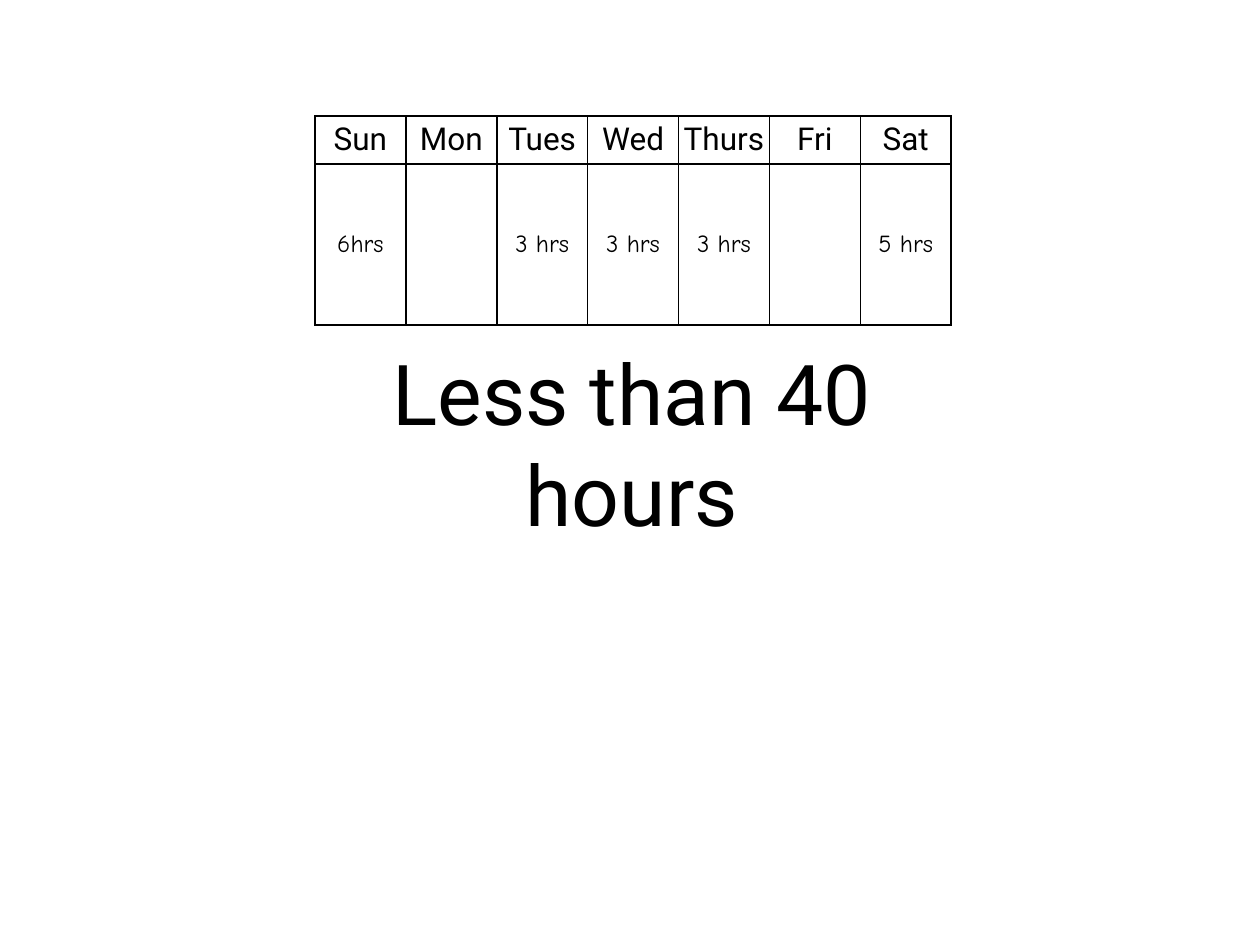
from lxml import etree
from pptx import Presentation
from pptx.dml.color import RGBColor
from pptx.enum.text import MSO_ANCHOR as Anchor, PP_ALIGN as Align
from pptx.oxml.ns import qn
from pptx.util import Inches, Pt

BLACK = "000000"
INSET = Inches(0.04)
DAYS = ["Sun", "Mon", "Tues", "Wed", "Thurs", "Fri", "Sat"]
HOURS = ["6hrs", "", "3 hrs", "3 hrs", "3 hrs", "", "5 hrs"]


def write_text(holder, text, font_name, size):
    """Put centred black text with small insets in a table cell or text frame."""
    for side in ("left", "top", "right", "bottom"):
        setattr(holder, f"margin_{side}", INSET)
    frame = getattr(holder, "text_frame", holder)
    paragraph = frame.paragraphs[0]
    paragraph.alignment = Align.CENTER
    if text:
        paragraph.add_run().text = text
    for name, value in {"name": font_name, "size": Pt(size)}.items():
        setattr(paragraph.font, name, value)
        for run in paragraph.runs:
            setattr(run.font, name, value)
    for run in paragraph.runs:
        run.font.color.rgb = RGBColor.from_string(BLACK)


def add_borders(cell, color, width):
    properties = cell._tc.get_or_add_tcPr()
    for position, tag in enumerate(("a:lnL", "a:lnR", "a:lnT", "a:lnB")):
        line = etree.Element(qn(tag), w=str(Pt(width)))
        fill = etree.SubElement(line, qn("a:solidFill"))
        etree.SubElement(fill, qn("a:srgbClr"), val=color)
        properties.insert(position, line)


presentation = Presentation()
presentation.slide_width = Inches(10)
presentation.slide_height = Inches(7.5)
slide = presentation.slides.add_slide(presentation.slide_layouts[6])

caption = slide.shapes.add_textbox(Inches(2.58), Inches(2.67), Inches(4.87), Inches(0.66))
caption.text_frame.word_wrap = True
write_text(caption.text_frame, "Less than 40 hours", "Roboto", 48)

week = slide.shapes.add_table(
    2, len(DAYS), Inches(2.5), Inches(0.92), Inches(5.05), Inches(1.65)
).table
week.first_row = week.horz_banding = False
for column in week.columns:
    column.width = Inches(5.05 / len(DAYS))

rows = [
    (DAYS, 0.37, "Roboto", 18, Anchor.TOP),
    (HOURS, 1.28, "Comic Neue", 14, Anchor.MIDDLE),
]
for row_index, (texts, height, font_name, size, anchor) in enumerate(rows):
    week.rows[row_index].height = Inches(height)
    for column_index, text in enumerate(texts):
        cell = week.cell(row_index, column_index)
        cell.fill.background()
        cell.vertical_anchor = anchor
        write_text(cell, text, font_name, size)
        add_borders(cell, BLACK, 1)

presentation.save("out.pptx")
